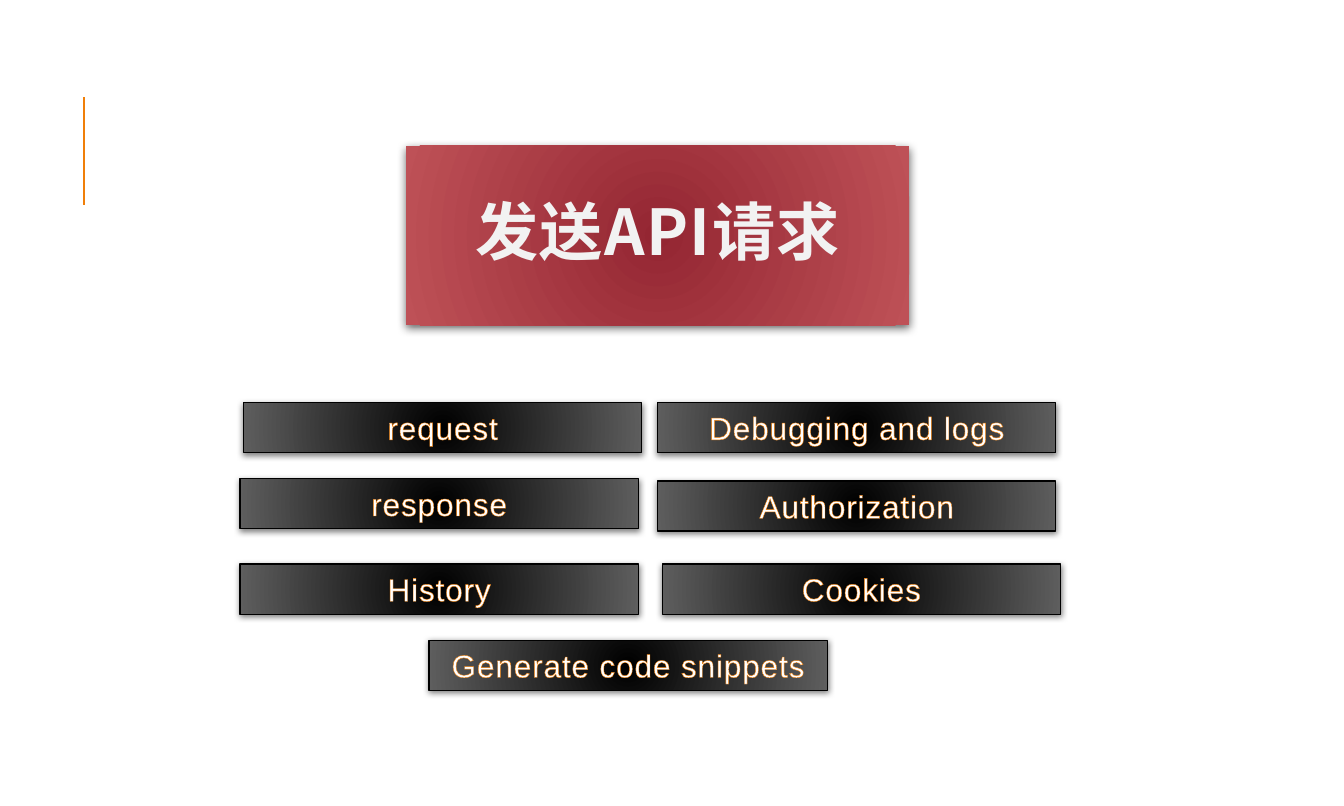
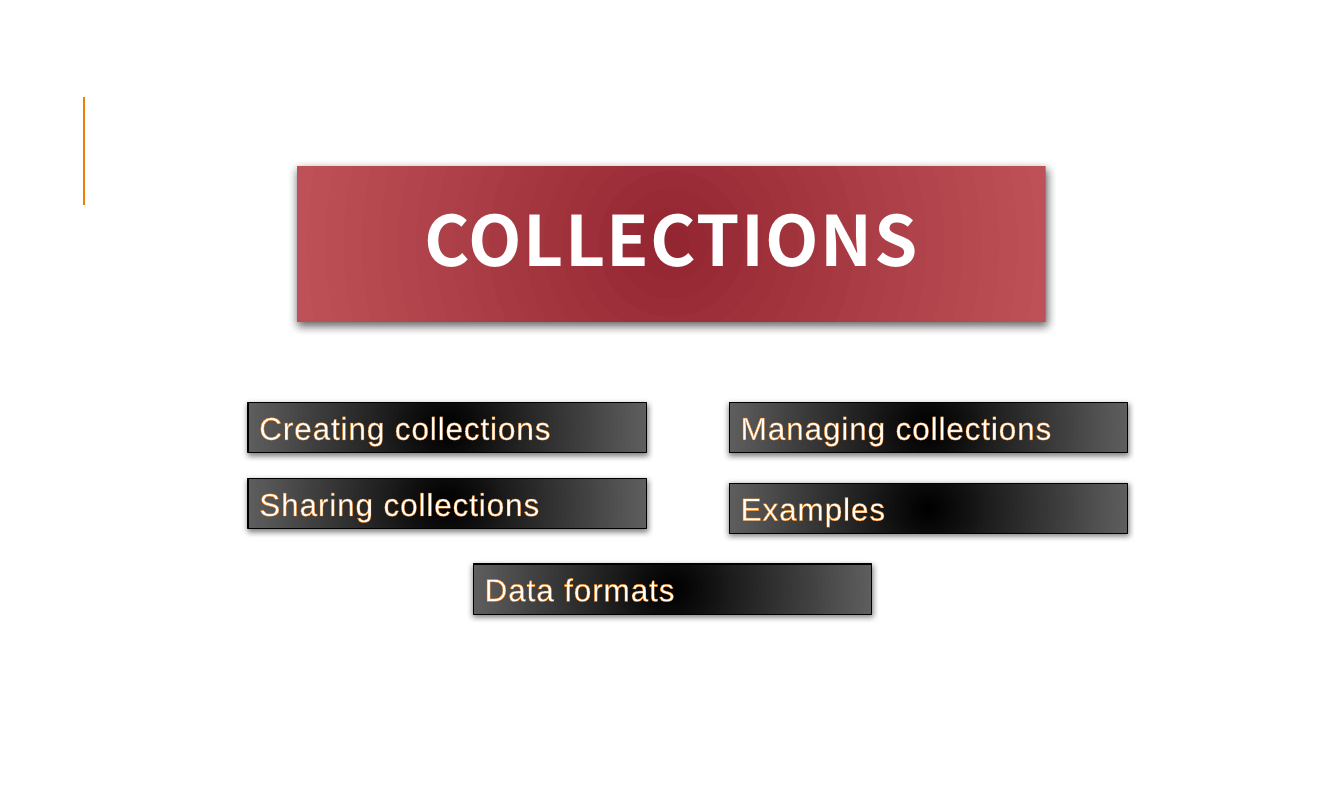
from dataclasses import dataclass

from lxml import etree
from pptx import Presentation
from pptx import util as u
from pptx.dml.color import RGBColor
from pptx.enum import shapes, text
from pptx.oxml import parse_xml
from pptx.oxml.ns import nsdecls, qn


@dataclass(frozen=True)
class Theme:
    accent: str = "F07F09"
    banner: tuple = ("942632", "BE5157")
    tag: tuple = ("000000", "5E5E5E")
    black: str = "000000"
    white: str = "FFFFFF"
    soft_white: str = "F2F2F2"
    title_font: str = "Noto Sans CJK SC"
    tag_font: str = "Arial"
    tag_size: int = 20
    tag_width: float = 3.5
    tag_height: float = 0.44


T = Theme()


def rgb(value):
    return RGBColor.from_string(value)


def place(sp, box):
    sp.left, sp.top, sp.width, sp.height = map(u.Inches, box)


def radial_fill(sp, colors):
    """Fill from the centre colour to the edge colour."""
    sp.fill.gradient()
    for stop, color in zip(sp.fill.gradient_stops, colors):
        stop.color.rgb = rgb(color)
    lin = sp.element.spPr.find(".//" + qn("a:lin"))
    lin.getparent().replace(lin, parse_xml(
        f'<a:path {nsdecls("a")} path="circle">'
        '<a:fillToRect l="100000" t="100000" r="100000" b="100000"/></a:path>'))


def drop_shadow(sp, opacity, blur, distance):
    sp.shadow.inherit = False
    effects = sp.element.spPr.find(qn("a:effectLst"))
    effects.append(parse_xml(
        f'<a:outerShdw {nsdecls("a")} blurRad="{u.Pt(blur)}" dist="{u.Pt(distance)}" '
        f'dir="5400000" algn="ctr" rotWithShape="0"><a:srgbClr val="{T.black}">'
        f'<a:alpha val="{opacity * 1000}"/></a:srgbClr></a:outerShdw>'))


def style_run(r, font, size, color, spacing, bold=False):
    r.font.name, r.font.size, r.font.bold = font, u.Pt(size), bold
    r.font.color.rgb = rgb(color)
    rPr = r._r.get_or_add_rPr()
    rPr.set("spc", str(round(spacing * 100)))
    etree.SubElement(rPr, qn("a:ea")).set("typeface", font)
    return rPr


def add_accent_line(s, layout):
    """Vertical rule, kept on the layout so that every slide shows it."""
    line = s.shapes.add_connector(shapes.MSO_CONNECTOR.STRAIGHT, u.Inches(0.74),
                                  u.Inches(1.8), u.Inches(0.74), u.Inches(0.85))
    line.line.color.rgb = rgb(T.accent)
    line.line.width = u.Pt(1.5)
    etree.SubElement(line.element.spPr, qn("a:effectLst"))
    layout.shapes.element.append(line.element)


def add_banner(s, title, box, size, color):
    sp = s.shapes.title
    place(sp, box)
    radial_fill(sp, T.banner)
    sp.line.fill.background()
    drop_shadow(sp, 60, 6, 2)
    tf = sp.text_frame
    tf.text = title
    tf.word_wrap = True
    tf.auto_size = text.MSO_AUTO_SIZE.NONE
    tf.vertical_anchor = text.MSO_ANCHOR.MIDDLE
    p = tf.paragraphs[0]
    p.alignment = text.PP_ALIGN.CENTER
    p.line_spacing = 0.9
    style_run(p.runs[0], T.title_font, size, color, 0.9, bold=True)


def add_tag(s, label, left, top, align):
    sp = s.shapes.add_shape(shapes.MSO_SHAPE.RECTANGLE, 0, 0, 0, 0)
    place(sp, (left, top, T.tag_width, T.tag_height))
    radial_fill(sp, T.tag)
    sp.line.color.rgb = rgb(T.black)
    sp.line.width = u.Pt(0.75)
    drop_shadow(sp, 50, 4, 1)
    tf = sp.text_frame
    tf.text = label
    tf.word_wrap = True
    tf.auto_size = text.MSO_AUTO_SIZE.SHAPE_TO_FIT_TEXT
    tf.vertical_anchor = text.MSO_ANCHOR.TOP
    p = tf.paragraphs[0]
    p.alignment = align
    rPr = style_run(p.runs[0], T.tag_font, T.tag_size, T.white, 0.5)
    # Thin outline around the letters
    rPr.insert(0, parse_xml(
        f'<a:ln {nsdecls("a")} w="{u.Pt(0.75)}"><a:solidFill>'
        f'<a:srgbClr val="{T.accent}"/></a:solidFill></a:ln>'))


def add_topic_slide(prs, layout, banner, tags, align):
    s = prs.slides.add_slide(layout)
    add_banner(s, *banner)
    for label, left, top in tags:
        add_tag(s, label, left, top, align)
    return s


def main():
    prs = Presentation()
    # The page is 30 by 18 centimetres
    prs.slide_width, prs.slide_height = u.Inches(30 / 2.54), u.Inches(18 / 2.54)
    layout = prs.slide_layouts[5]

    # Sending requests
    s = add_topic_slide(
        prs, layout, ("发送API请求", (3.57, 1.28, 4.42, 1.58), 40, T.soft_white),
        [("request", 2.14, 3.54), ("response", 2.11, 4.21), ("History", 2.11, 4.96),
         ("Debugging and logs", 5.78, 3.54), ("Cookies", 5.82, 4.96),
         ("Authorization", 5.78, 4.23), ("Generate code snippets", 3.77, 5.63)],
        text.PP_ALIGN.CENTER)
    add_accent_line(s, layout)

    # Collections
    add_topic_slide(
        prs, layout, ("COLLECTIONS", (2.61, 1.46, 6.58, 1.37), 44, T.white),
        [("Examples", 6.41, 4.25), ("Data formats", 4.16, 4.96),
         ("Creating collections", 2.18, 3.54), ("Sharing collections", 2.18, 4.21),
         ("Managing collections", 6.41, 3.54)],
        text.PP_ALIGN.LEFT)

    prs.save("out.pptx")


if __name__ == "__main__":
    main()
